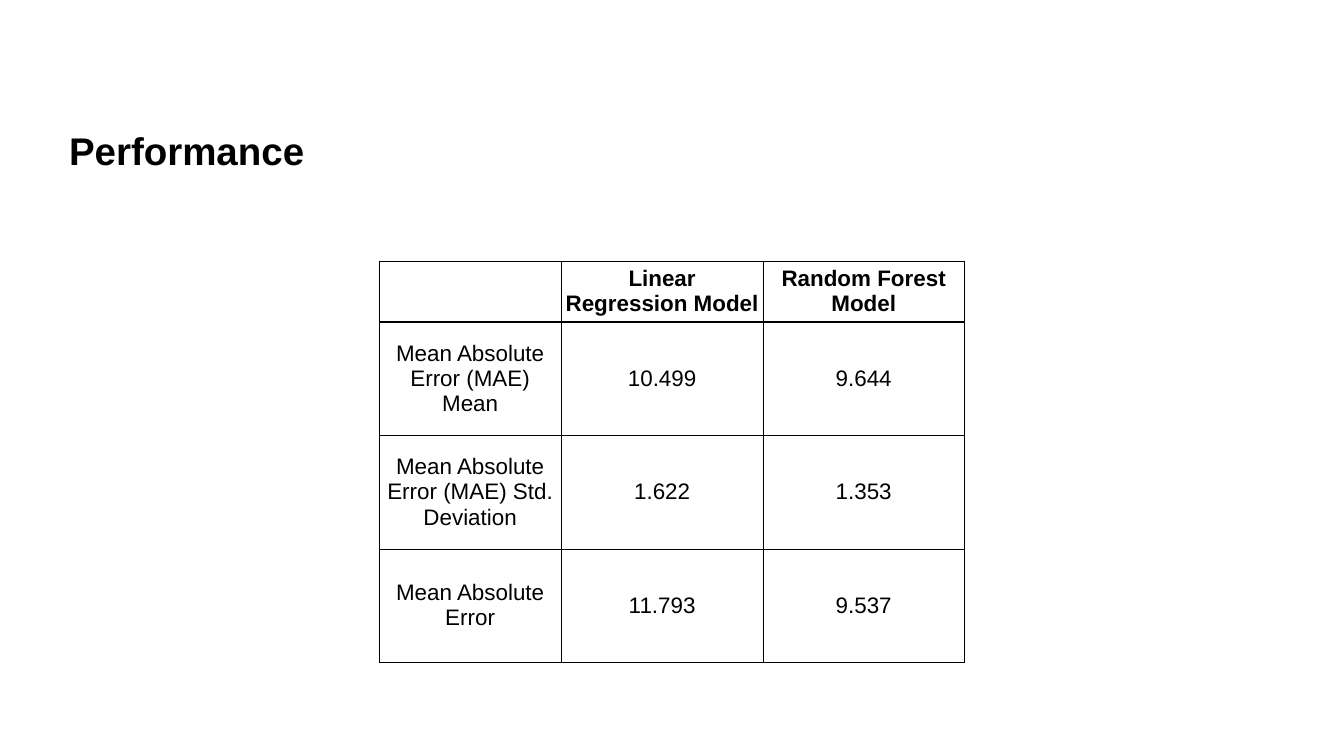
from dataclasses import dataclass

from lxml.etree import SubElement
from pptx import Presentation
from pptx.dml.color import RGBColor
from pptx.enum.text import MSO_ANCHOR, PP_ALIGN
from pptx.oxml.ns import qn
from pptx.util import Inches, Pt


@dataclass(frozen=True)
class Theme:
    font: str = "Arial"
    ink: str = "000000"
    paper: str = "FFFFFF"
    title_size: int = 55
    table_size: int = 32
    thin_line: int = 1
    header_line: int = 3


@dataclass(frozen=True)
class TableRow:
    label: str
    linear_regression: str
    random_forest: str
    height: float = 2.25
    bold: bool = False

    @property
    def texts(self) -> tuple[str, str, str]:
        return self.label, self.linear_regression, self.random_forest


THEME = Theme()
COLUMN_WIDTHS = (3.62, 4, 4)
ROWS = (
    TableRow("", "Linear Regression Model", "Random Forest Model", 1.21, True),
    TableRow("Mean Absolute Error (MAE) Mean", "10.499", "9.644"),
    TableRow("Mean Absolute Error (MAE) Std. Deviation", "1.622", "1.353"),
    TableRow("Mean Absolute Error", "11.793", "9.537"),
)


def set_margins(target, margin: float) -> None:
    target.margin_left = target.margin_right = Inches(margin)
    target.margin_top = target.margin_bottom = Inches(margin)


def format_runs(paragraph, size: int, bold: bool) -> None:
    for run in paragraph.runs:
        run.font.name = THEME.font
        run.font.size = Pt(size)
        run.font.bold = bold
        run.font.color.rgb = RGBColor.from_string(THEME.ink)


def add_title(slide, text: str) -> None:
    shape = slide.shapes.add_textbox(Inches(1.32), Inches(2.46), Inches(24.03), Inches(1.02))
    text_frame = shape.text_frame
    text_frame.word_wrap = True
    text_frame.vertical_anchor = MSO_ANCHOR.MIDDLE
    set_margins(text_frame, 0.05)
    text_frame.text = text
    format_runs(text_frame.paragraphs[0], THEME.title_size, True)


def set_borders(cell, top: int, bottom: int) -> None:
    """Draw all four cell borders; widths are in points."""
    properties = cell._tc.get_or_add_tcPr()
    widths = {"a:lnL": THEME.thin_line, "a:lnR": THEME.thin_line, "a:lnT": top, "a:lnB": bottom}
    for tag, width in widths.items():
        line = SubElement(properties, qn(tag), w=str(Pt(width)))
        fill = SubElement(line, qn("a:solidFill"))
        SubElement(fill, qn("a:srgbClr"), val=THEME.ink)


def fill_cell(cell, text: str, bold: bool) -> None:
    cell.fill.solid()
    cell.fill.fore_color.rgb = RGBColor.from_string(THEME.paper)
    cell.vertical_anchor = MSO_ANCHOR.MIDDLE
    set_margins(cell, 0.06)
    cell.text_frame.text = text
    paragraph = cell.text_frame.paragraphs[0]
    paragraph.alignment = PP_ALIGN.CENTER
    format_runs(paragraph, THEME.table_size, bold)


def add_performance_table(slide, rows: tuple[TableRow, ...]) -> None:
    width = sum(COLUMN_WIDTHS)
    height = sum(row.height for row in rows)
    table = slide.shapes.add_table(
        len(rows), len(COLUMN_WIDTHS), Inches(7.52), Inches(5.18), Inches(width), Inches(height)
    ).table
    table.horz_banding = False
    for column, column_width in zip(table.columns, COLUMN_WIDTHS):
        column.width = Inches(column_width)
    for row_index, row in enumerate(rows):
        table.rows[row_index].height = Inches(row.height)
        top = THEME.header_line if row_index == 1 else THEME.thin_line
        bottom = THEME.header_line if row_index == 0 else THEME.thin_line
        for column_index, text in enumerate(row.texts):
            cell = table.cell(row_index, column_index)
            set_borders(cell, top, bottom)
            fill_cell(cell, text, row.bold)


def main() -> None:
    presentation = Presentation()
    presentation.slide_width = Inches(26.67)
    presentation.slide_height = Inches(15)
    slide = presentation.slides.add_slide(presentation.slide_layouts[6])
    add_title(slide, "Performance")
    add_performance_table(slide, ROWS)
    presentation.save("out.pptx")


if __name__ == "__main__":
    main()
